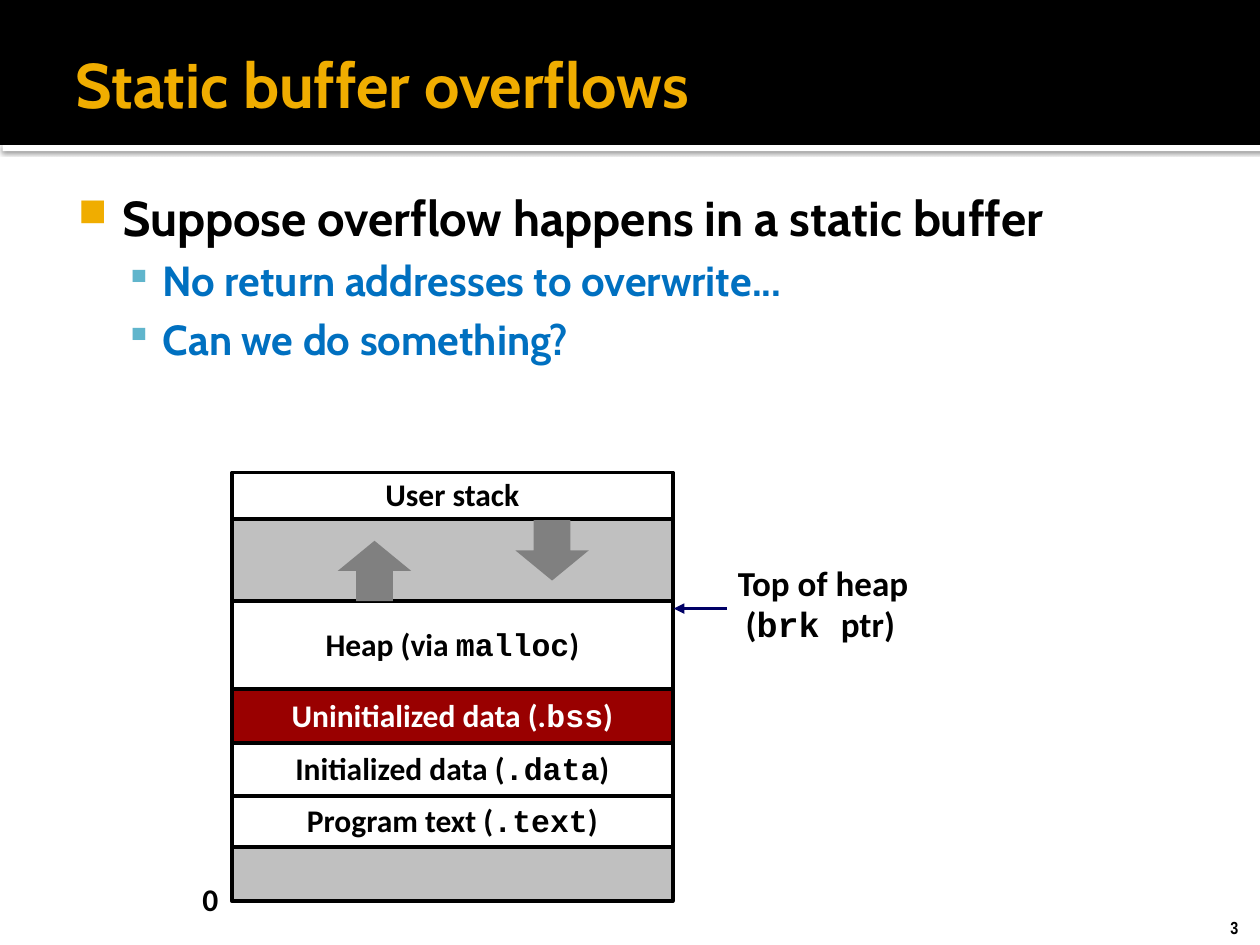
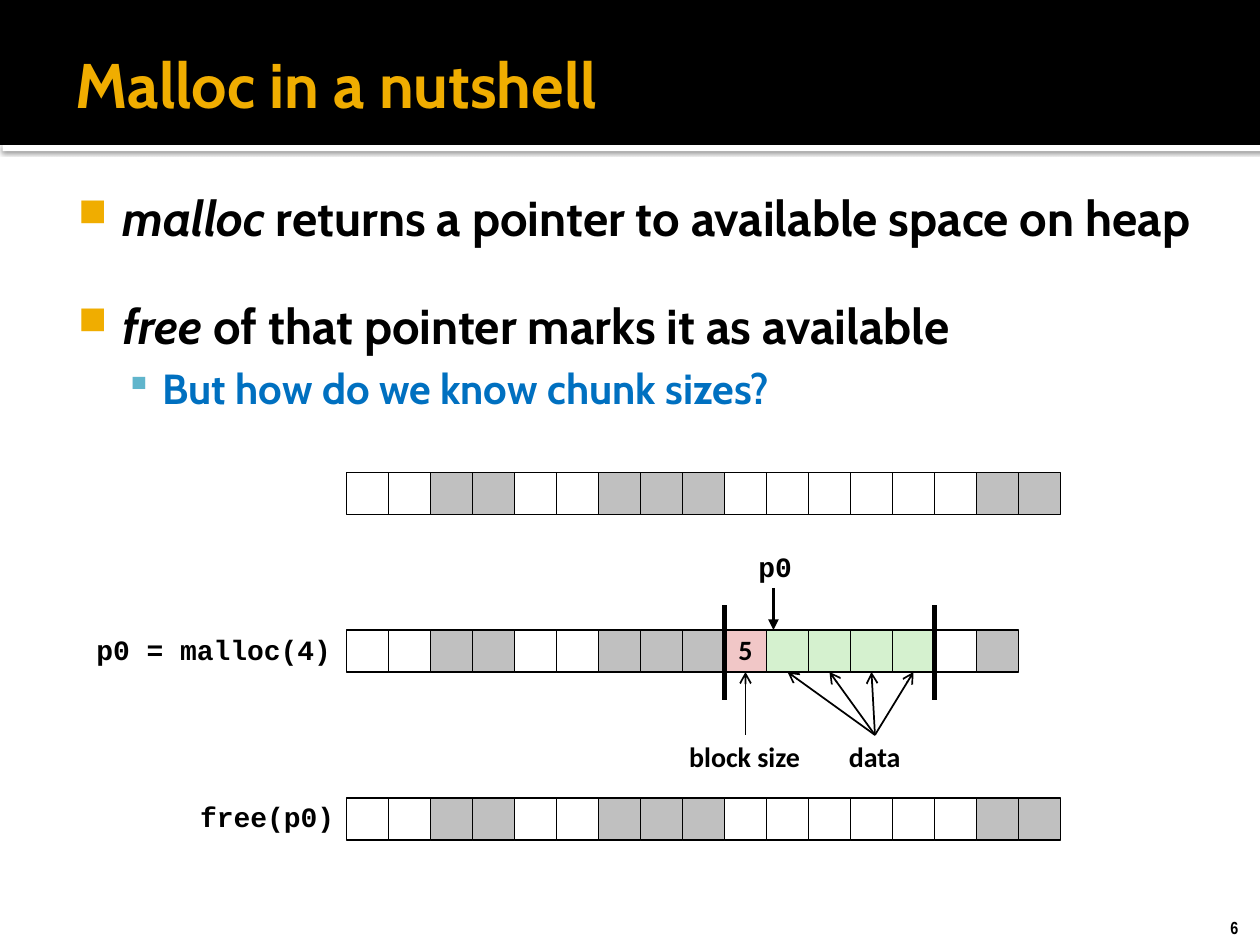
"""Build two lecture slides on static buffer overflows and malloc."""
import pptx
import pptx.chart.data
import pptx.dml.color
import pptx.enum.shapes
import pptx.enum.text
import pptx.oxml
import pptx.oxml.ns
import pptx.util
from lxml import etree

Pt = pptx.util.Pt
SHAPE = pptx.enum.shapes.MSO_SHAPE
ALIGN = pptx.enum.text.PP_ALIGN
ANCHOR = pptx.enum.text.MSO_ANCHOR
qn = pptx.oxml.ns.qn

BLACK, WHITE, GREY, DARK_GREY = "000000", "FFFFFF", "C0C0C0", "808080"
GOLD, BLUE, TEAL, NAVY = "F0AD00", "0070C0", "60B5CC", "000066"
RED, PINK, GREEN = "990000", "F1C7C7", "D5F1CF"
HEADING, LABEL, CODE, NUMBER = "Cabin", "Calibri", "Courier New", "Arial Narrow"
INSETS = (7.2, 3.6, 7.2, 3.6)

CELL = 24
ROW_LEFT = 198
CELL_FILLS = {".": WHITE, "#": GREY, "S": PINK, "D": GREEN}
FREE_ROW = "..##..###......##"
USED_ROW = "..##..###SDDDD.#"

STACK_LEFT, STACK_WIDTH = 132.5, 252
STACK_EDGES = [270, 296.5, 343.5, 393.75, 424.5, 455, 484, 515]
STACK_BANDS = [
    (WHITE, BLACK, [("User stack", LABEL)]),
    (GREY, BLACK, []),
    (WHITE, BLACK, [("Heap (via ", LABEL), ("malloc", CODE), (")", LABEL)]),
    (RED, WHITE, [("Uninitialized data (.", LABEL), ("bss", CODE), (")", LABEL)]),
    (WHITE, BLACK, [("Initialized data (", LABEL), (".data", CODE), (")", LABEL)]),
    (WHITE, BLACK, [("Program text (", LABEL), (".text", CODE), (")", LABEL)]),
    (GREY, BLACK, []),
]


def rgb(value):
    """Turn a hex string into a colour."""
    return pptx.dml.color.RGBColor.from_string(value)


def add_span(para, text, font, size, color, italic=False):
    """Add one bold run to a paragraph."""
    span = para.add_run()
    span.text = text
    span.font.name = font
    span.font.size = Pt(size)
    span.font.bold = True
    span.font.italic = italic
    span.font.color.rgb = rgb(color)


def set_frame(frame, insets=INSETS, anchor=ANCHOR.TOP, wrap=False):
    """Set insets, anchor and wrapping of a text frame."""
    frame.auto_size = pptx.enum.text.MSO_AUTO_SIZE.NONE
    frame.word_wrap = wrap
    frame.vertical_anchor = anchor
    frame.margin_left, frame.margin_top, frame.margin_right, frame.margin_bottom = map(Pt, insets)


def add_block(page, kind, left, top, width, height, fill, line=0):
    """Add a filled preset shape, outlined in black when line is set."""
    block = page.shapes.add_shape(kind, Pt(left), Pt(top), Pt(width), Pt(height))
    block.shadow.inherit = False
    block.fill.solid()
    block.fill.fore_color.rgb = rgb(fill)
    if line:
        block.line.color.rgb = rgb(BLACK)
        block.line.width = Pt(line)
    else:
        block.line.fill.background()
    return block


def write_block(block, spans, size, color):
    """Centre a line of text in a shape."""
    set_frame(block.text_frame, anchor=ANCHOR.MIDDLE)
    para = block.text_frame.paragraphs[0]
    para.alignment = ALIGN.CENTER
    para.line_spacing = 0.98
    for text, font in spans:
        add_span(para, text, font, size, color)


def add_label(page, left, top, width, height, lines, size, spacing=0.98):
    """Add a text box with one paragraph for each list of spans."""
    box = page.shapes.add_textbox(Pt(left), Pt(top), Pt(width), Pt(height))
    set_frame(box.text_frame)
    for index, spans in enumerate(lines):
        para = box.text_frame.add_paragraph() if index else box.text_frame.paragraphs[0]
        para.line_spacing = spacing
        for text, font in spans:
            add_span(para, text, font, size, BLACK)
    return box


def add_line(page, start, end, width, color=BLACK, head=None):
    """Add a straight line, with an arrowhead at its end when head is set."""
    line = page.shapes.add_connector(
        pptx.enum.shapes.MSO_CONNECTOR.STRAIGHT, *map(Pt, (*start, *end)))
    line.line.color.rgb = rgb(color)
    line.line.width = Pt(width)
    if head:
        etree.SubElement(line.line._get_or_add_ln(), qn("a:tailEnd"), type=head)
    etree.SubElement(line.element.spPr, qn("a:effectLst"))
    return line


def join_up(page, label, cell):
    """Point an arrow from the top of a label to the bottom of a cell."""
    arrow = add_line(page, (0, 0), (0, 0), 1, head="arrow")
    arrow.begin_connect(label, 0)
    arrow.end_connect(cell, 2)


def add_bullet(para, level, spans, gap=0):
    """Format a first- or second-level bullet and add its (text, italic) spans."""
    margin, indent, size, color, mark, mark_color, mark_size = [
        (34.5, -25.2, 28, BLACK, "■", GOLD, 80),
        (57.6, -21.6, 24, BLUE, "▪", TEAL, 90),
    ][level]
    para.level = level
    para.space_before = Pt(gap)
    properties = para._p.get_or_add_pPr()
    properties.set("marL", str(Pt(margin)))
    properties.set("indent", str(Pt(indent)))
    tint = etree.SubElement(properties, qn("a:buClr"))
    etree.SubElement(tint, qn("a:srgbClr"), val=mark_color)
    etree.SubElement(properties, qn("a:buSzPct"), val=str(mark_size * 1000))
    etree.SubElement(properties, qn("a:buChar"), char=mark)
    for text, italic in spans:
        add_span(para, text, HEADING, size, color, italic)


def add_bullets(page, bullets):
    """Add the body text from (level, gap, spans) bullets."""
    box = page.shapes.add_textbox(Pt(31), Pt(100), Pt(663), Pt(425.5))
    set_frame(box.text_frame, (4.3, 7.2, 7.2, 3.6), wrap=True)
    for index, (level, gap, spans) in enumerate(bullets):
        para = box.text_frame.add_paragraph() if index else box.text_frame.paragraphs[0]
        add_bullet(para, level, spans, gap)


def add_shadow(block):
    """Give a shape a soft shadow below it."""
    effects = block.element.spPr.find(qn("a:effectLst"))
    shadow = etree.SubElement(effects, qn("a:outerShdw"), blurRad=str(Pt(2.5)),
                              dist=str(Pt(0.8)), dir="5400000", algn="tl", rotWithShape="0")
    tint = etree.SubElement(shadow, qn("a:srgbClr"), val=BLACK)
    etree.SubElement(tint, qn("a:alpha"), val="60000")


def add_page(deck, title, number):
    """Add a slide with the header band, title and page number."""
    page = deck.slides.add_slide(deck.slide_layouts[5])
    add_shadow(add_block(page, SHAPE.RECTANGLE, 1.5, 82.8, 720, 3.6, WHITE))
    add_block(page, SHAPE.RECTANGLE, 0, 0, 720, 82.8, BLACK)
    heading = page.shapes.title
    heading.element.getparent().append(heading.element)
    heading.left, heading.top, heading.width, heading.height = map(Pt, (36, 12.25, 648, 70.5))
    set_frame(heading.text_frame, (7.2, 3.6, 3.6, 3.6), ANCHOR.MIDDLE, True)
    para = heading.text_frame.paragraphs[0]
    para.alignment = ALIGN.LEFT
    add_span(para, title, HEADING, 36, GOLD)
    add_label(page, 696, 520.5, 24, 19.5, [[(number, NUMBER)]], 10, 1.0)
    return page


def add_memory_row(page, top, pattern):
    """Draw a row of memory cells and return them."""
    return [add_block(page, SHAPE.RECTANGLE, ROW_LEFT + index * CELL, top,
                      CELL, CELL, CELL_FILLS[mark], 1)
            for index, mark in enumerate(pattern)]


def build_overflow_page(deck):
    """Build the slide with the process memory layout."""
    page = add_page(deck, "Static buffer overflows", "3")
    add_bullets(page, [
        (0, 0, [("Suppose overflow happens in a static buffer", False)]),
        (1, 4.8, [("No return addresses to overwrite...", False)]),
        (1, 4.8, [("Can we do something?", False)]),
    ])
    for top, bottom, (fill, color, spans) in zip(STACK_EDGES, STACK_EDGES[1:], STACK_BANDS):
        band = add_block(page, SHAPE.RECTANGLE, STACK_LEFT, top,
                         STACK_WIDTH, bottom - top, fill, 2)
        if spans:
            write_block(band, spans, 18, color)
    add_block(page, SHAPE.DOWN_ARROW, 294.5, 297.25, 42, 34.5, DARK_GREY)
    add_block(page, SHAPE.UP_ARROW, 193, 309, 42, 34.5, DARK_GREY)
    add_label(page, 108.5, 500.5, 24, 29, [[("0", LABEL)]], 18)
    add_label(page, 414.5, 318.25, 112.5, 55, [
        [("Top of heap", LABEL)],
        [(" (", LABEL), ("brk ", CODE), ("ptr)", LABEL)],
    ], 20)
    add_line(page, (415.5, 347.75), (385, 347.75), 2, NAVY, "triangle")


def build_malloc_page(deck):
    """Build the slide with the three memory rows."""
    page = add_page(deck, "Malloc in a nutshell", "6")
    add_bullets(page, [
        (0, 0, [("malloc", True), (" returns a pointer to available space on heap", False)]),
        (0, 28, [("free", True), (" of that pointer marks it as available", False)]),
        (1, 4.8, [("But how do we know chunk sizes?", False)]),
    ])
    add_memory_row(page, 270, FREE_ROW)
    cells = add_memory_row(page, 360, USED_ROW)
    add_memory_row(page, 456, FREE_ROW)
    size_index = USED_ROW.index("S")
    write_block(cells[size_index], [("5", LABEL)], 16, BLACK)
    for edge in (size_index, USED_ROW.rindex("D") + 1):
        side = ROW_LEFT + edge * CELL
        add_line(page, (side, 346), (side, 400), 3)
    for text, left, top, width in [("p0", 426.25, 311.75, 34),
                                   ("p0 = malloc(4)", 48, 359.25, 150.5),
                                   ("free(p0)", 107.25, 455, 92)]:
        add_label(page, left, top, width, 26, [[(text, CODE)]], 16, 0.94)
    add_line(page, (442, 336), (442, 360), 2, head="triangle")
    size_label = add_label(page, 386.75, 420, 78.5, 26.5, [[("block size", LABEL)]], 16)
    data_label = add_label(page, 478, 420, 44, 26.5, [[("data", LABEL)]], 16)
    join_up(page, size_label, cells[size_index])
    for cell, mark in zip(cells, USED_ROW):
        if mark == "D":
            join_up(page, data_label, cell)


def main():
    """Build and save the deck."""
    deck = pptx.Presentation()
    deck.slide_width, deck.slide_height = Pt(720), Pt(540)
    build_overflow_page(deck)
    build_malloc_page(deck)
    deck.save("out.pptx")


if __name__ == "__main__":
    main()
